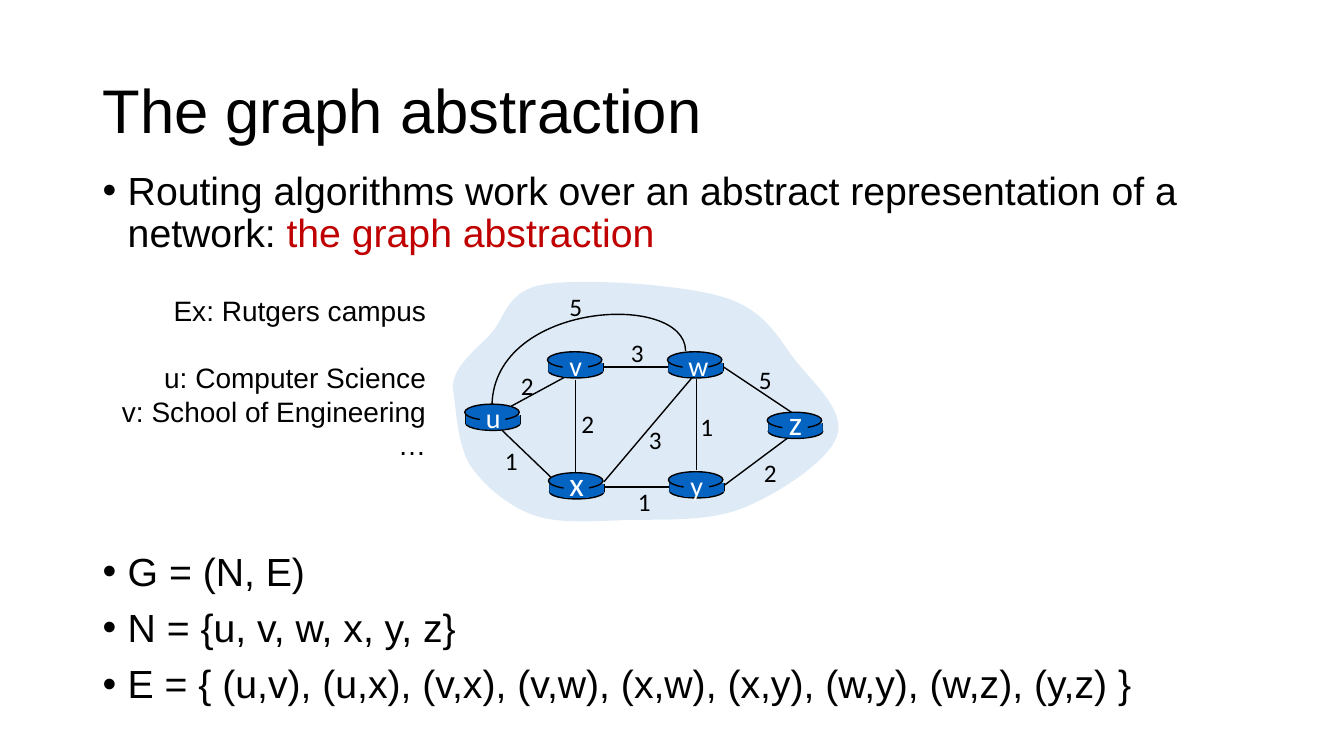
from lxml import etree
from pptx import Presentation
from pptx.dml.color import RGBColor
from pptx.enum.shapes import MSO_CONNECTOR, MSO_SHAPE
from pptx.enum.text import MSO_ANCHOR, MSO_AUTO_SIZE, PP_ALIGN
from pptx.oxml.ns import qn
from pptx.util import Inches, Pt

LEFT, RIGHT, CENTER = PP_ALIGN.LEFT, PP_ALIGN.RIGHT, PP_ALIGN.CENTER
TOP, MIDDLE = MSO_ANCHOR.TOP, MSO_ANCHOR.MIDDLE
NO_FIT = MSO_AUTO_SIZE.NONE
OVAL, RECT = MSO_SHAPE.OVAL, MSO_SHAPE.RECTANGLE
STRAIGHT = MSO_CONNECTOR.STRAIGHT

COLORS = {name: RGBColor.from_string(code) for name, code in {
    "text": "000000", "accent": "C00000", "network": "DEEBF7",
    "router": "0563C1", "node name": "FFFFFF",
}.items()}

prs = Presentation()
prs.slide_width, prs.slide_height = Inches(13.33), Inches(7.5)
CELL = prs.slide_height / 75  # square grid, 75 rows high


def cells(*counts):
    return [round(count * CELL) for count in counts]


def write(paragraph, text, size, color="text", font="Arial"):
    run = paragraph.add_run()
    run.text = text
    run.font.color.rgb = COLORS[color]
    for key, value in {"name": font, "size": Pt(size)}.items():
        setattr(run.font, key, value)


slide = prs.slides.add_slide(prs.slide_layouts[1])
shapes = slide.shapes
title, body = slide.placeholders

# Title and bullet list
for holder, box, anchor in ((title, (9.17, 4, 115, 14.5), MIDDLE),
                            (body, (9.17, 16.5, 110.8, 58.5), TOP)):
    holder.left, holder.top, holder.width, holder.height = cells(*box)
    for key, value in {"auto_size": NO_FIT, "vertical_anchor": anchor,
                       "word_wrap": True}.items():
        setattr(holder.text_frame, key, value)

heading = title.text_frame.paragraphs[0]
heading.alignment, heading.line_spacing = LEFT, 0.9
write(heading, "The graph abstraction", 44)

GRAPH_GAP = 211.6  # room for the graph between the bullets
bullets = [
    (0, [("Routing algorithms work over an abstract representation of a network: ", "text"),
         ("the graph abstraction", "accent")]),
    (GRAPH_GAP, [("G = (N, E)", "text")]),
    (10, [("N = {u, v, w, x, y, z}", "text")]),
    (10, [("E = { (u,v), (u,x), (v,x), (v,w), (x,w), (x,y), (w,y), (w,z), (y,z) }", "text")]),
]
for index, (gap, pieces) in enumerate(bullets):
    bullet = body.text_frame.paragraphs[0] if index == 0 else body.text_frame.add_paragraph()
    indent = cells(2.5)[0]
    for key, value in {"marL": indent, "indent": -indent}.items():
        bullet._p.get_or_add_pPr().set(key, str(value))
    bullet.line_spacing, bullet.space_before = 0.9, Pt(gap)
    for text, color in pieces:
        write(bullet, text, 28, color)

# Network area and the curved link u-w, each a chain of Bezier curves
network = [
    (44.9, 38.4),
    (45, 36.3), (47.1, 34.8), (48.7, 33.1), (50.2, 31.4), (50.2, 28.8), (54.1, 28.2),
    (57.9, 27.6), (67.6, 28.2), (71.8, 29.5), (76, 30.8), (77.2, 33.6), (79, 35.9),
    (80.9, 38.2), (83.9, 40.9), (83, 43.3), (82.2, 45.7), (77.2, 49), (73.7, 50.4),
    (70.2, 51.8), (65.6, 51.5), (62.1, 51.6), (58.7, 51.7), (55.5, 52), (52.9, 51.1),
    (50.4, 50.2), (48, 48.2), (46.6, 46.1), (45.3, 44), (45.2, 40), (44.9, 38.4),
]
link_uw = [(68, 34.8), (67.9, 28.9), (49.1, 29.9), (48.8, 40.1)]
for curve, closed in ((network, True), (link_uw, False)):
    builder = shapes.build_freeform(*cells(*curve[0]))
    builder.add_line_segments([cells(*point) for point in curve[1:]], close=closed)
    outline = builder.convert_to_shape()
    # Every three line ends become the control points of one curve
    segments = list(outline._element.iter(qn("a:lnTo")))
    for start in range(0, len(curve) - 1, 3):
        first, *others = segments[start:start + 3]
        bezier = etree.Element(qn("a:cubicBezTo"))
        first.addprevious(bezier)
        for segment in (first, *others):
            bezier.append(segment[0])
            segment.getparent().remove(segment)
    outline.shadow.inherit = False
    if closed:
        outline.fill.solid()
        outline.fill.fore_color.rgb = COLORS["network"]
        outline.line.fill.background()
    else:
        outline.fill.background()
        outline.line.color.rgb, outline.line.width = COLORS["text"], Pt(1)

# Graph: routers (left, top, name size) and links (ends, cost, cost centre)
routers = {
    "u": (46.1, 40.1, 20), "v": (54.3, 34.9, 20), "w": (66.2, 34.9, 20),
    "x": (54.4, 46.9, 24), "y": (66.3, 46.8, 20), "z": (76.1, 40.9, 24),
}
links = [
    ((50.7, 40.3, 56.6, 37.1), "2", (52.3, 38.2)),
    ((69.1, 37.6, 69.1, 46.6), "1", (70.1, 42.3)),
    ((57.1, 37.7, 57.1, 47), "2", (58.3, 42)),
    ((59.9, 47.8, 68.7, 37.4), "3", (65, 43.6)),
    ((71.9, 48.1, 78.2, 43.4), "2", (76.4, 46.9)),
    ((66.4, 48.3, 60, 48.3), "1", (63.9, 49.7)),
    ((54.6, 47.3, 49.8, 42.7), "1", (50.7, 45.7)),
    ((66.3, 36.4, 59.9, 36.4), "3", (63.2, 35)),
    ((78.5, 40.9, 71.6, 36.3), "5", (75.9, 37.6)),
]
router_sides = [(left + dx, top + 1.1, left + dx, top + 1.9)
                for left, top, _ in routers.values() for dx in (0.1, 5.5)]
for ends in [link[0] for link in links] + router_sides:
    stroke = shapes.add_connector(STRAIGHT, *cells(*ends))
    stroke.line.color.rgb, stroke.line.width = COLORS["text"], Pt(1)
    etree.SubElement(stroke._element.spPr, qn("a:effectLst"))

# Router cylinders: base, wall, lid and the patch behind the name
router_parts = [
    (OVAL, (0.1, 1.2, 5.4, 1.4), True), (RECT, (0.1, 1.1, 5.4, 0.9), False),
    (OVAL, (0, 0, 5.4, 1.6), True), (RECT, (1.5, 0.2, 2.5, 2.3), False),
]
for left, top, _ in routers.values():
    for kind, (dx, dy, width, height), outlined in router_parts:
        part = shapes.add_shape(kind, *cells(left + dx, top + dy, width, height))
        part.shadow.inherit = False
        part.fill.solid()
        part.fill.fore_color.rgb = COLORS["router"]
        if outlined:
            part.line.color.rgb, part.line.width = COLORS["text"], Pt(1)
        else:
            part.line.fill.background()

# Router names and link costs, centred on their points
labels = [(name, (left + 2.8, top + 3 - size / 12), size, "node name")
          for name, (left, top, size) in routers.items()]
labels += [(cost, centre, 18, "text") for _, cost, centre in links]
labels.append(("5", (57.1, 30.4), 18, "text"))
for text, (x, y), size, color in labels:
    label = shapes.add_textbox(*cells(x - 1.7, y - 2.2, 3.4, 4.4)).text_frame
    label.word_wrap, label.vertical_anchor = False, MIDDLE
    label.paragraphs[0].alignment = CENTER
    write(label.paragraphs[0], text, size, color, "Calibri")

# Campus example beside the graph
campus = shapes.add_textbox(*cells(10.35, 28.6, 32.9, 17.8)).text_frame
campus.word_wrap = True
for index, (text, gap) in enumerate((("Ex: Rutgers campus", 0), ("u: Computer Science", 24),
                                     ("v: School of Engineering", 0), ("…", 0))):
    entry = campus.paragraphs[0] if index == 0 else campus.add_paragraph()
    entry.alignment, entry.space_before = RIGHT, Pt(gap)
    write(entry, text, 20)

prs.save("out.pptx")
